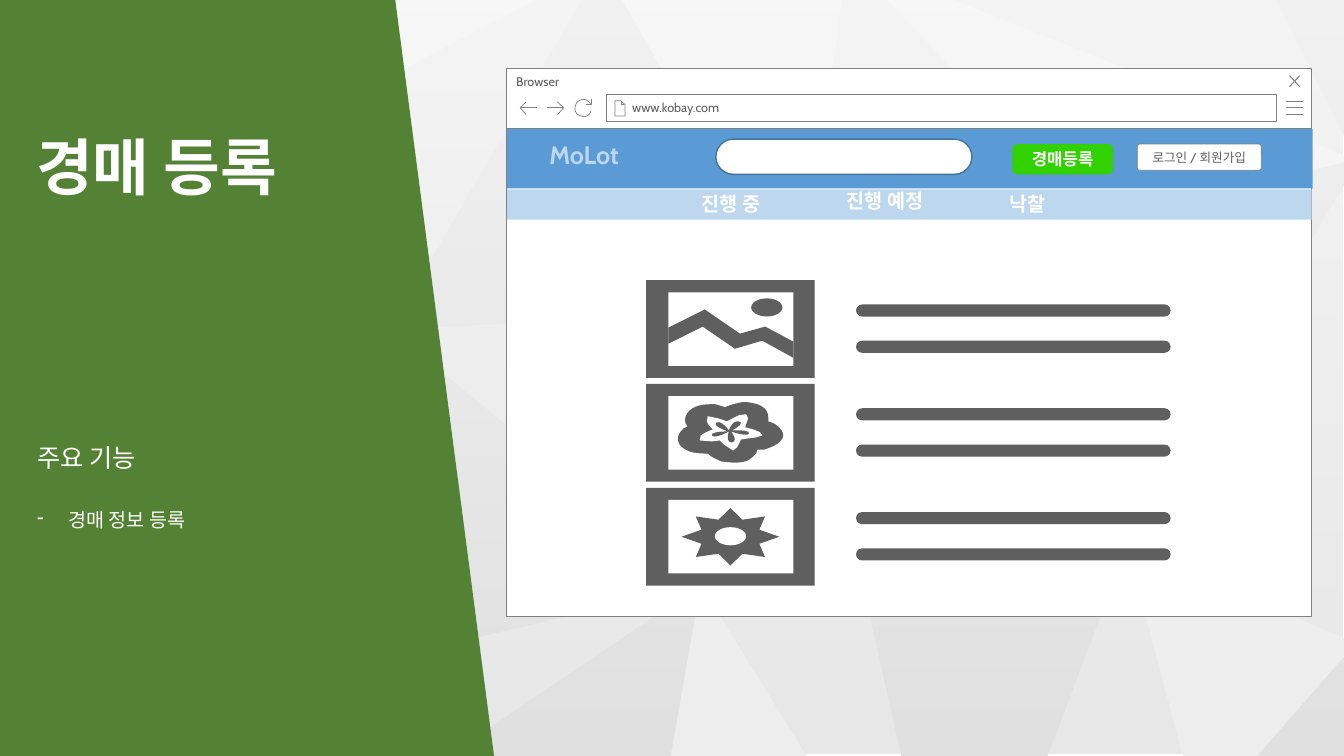
from lxml import etree
from pptx import Presentation
from pptx.dml.color import RGBColor
from pptx.enum.shapes import MSO_SHAPE
from pptx.enum.text import MSO_ANCHOR, PP_ALIGN
from pptx.oxml.ns import qn
from pptx.util import Inches, Pt

WHITE = RGBColor(0xFF, 0xFF, 0xFF)
BASE = RGBColor(0xE7, 0xE7, 0xE7)
PALE = RGBColor(0xED, 0xED, 0xED)
MIST = RGBColor(0xE0, 0xE0, 0xE0)
GREEN = RGBColor(0x54, 0x82, 0x35)
LIME = RGBColor(0x32, 0xD2, 0x00)
BLUE = RGBColor(0x5B, 0x9B, 0xD5)
SKY = RGBColor(0xBD, 0xD7, 0xEE)
NAVY = RGBColor(0x43, 0x73, 0x9E)
GREY = RGBColor(0x80, 0x80, 0x80)
DARK = RGBColor(0x5F, 0x5F, 0x5F)
FONT = "Cabin"
RECT, ROUND = MSO_SHAPE.RECTANGLE, MSO_SHAPE.ROUNDED_RECTANGLE

prs = Presentation()
prs.slide_width, prs.slide_height = Inches(13.33), Inches(7.5)
slide = prs.slides.add_slide(prs.slide_layouts[6])
shapes = slide.shapes


def block(kind, x, y, w, h, fill=None, line=None, pt=0.5, text="",
          size=9, color=WHITE, bold=False, align=PP_ALIGN.LEFT,
          anchor=MSO_ANCHOR.MIDDLE):
    """Add a preset shape, or a text box when kind is None, with its text."""
    box = [Inches(v) for v in (x, y, w, h)]
    if kind is None:
        shape = shapes.add_textbox(*box)
    else:
        shape = shapes.add_shape(kind, *box)
        shape.shadow.inherit = False
        if fill is not None:
            shape.fill.solid()
            shape.fill.fore_color.rgb = fill
        if line is None:
            shape.line.fill.background()
        else:
            shape.line.color.rgb = line
            shape.line.width = Pt(pt)
    if text:
        frame = shape.text_frame
        frame.word_wrap = True
        frame.vertical_anchor = anchor
        para = frame.paragraphs[0]
        para.alignment = align
        run = para.add_run()
        run.text = text
        run.font.name, run.font.size = FONT, Pt(size)
        run.font.bold, run.font.color.rgb = bold, color
    return shape


def trace(paths, fill=None, pt=0.5):
    """Draw paths of points; a step of six numbers is a cubic curve.

    Filled paths are closed, others are open grey strokes."""
    pen = None
    for path in paths:
        dots = [path[0]]
        for step in path[1:]:
            if len(step) == 2:
                dots.append(step)
                continue
            ends = [dots[-1], step[:2], step[2:4], step[4:]]
            for t in (n / 6 for n in range(1, 7)):
                mix = ((1 - t) ** 3, 3 * t * (1 - t) ** 2, 3 * t * t * (1 - t), t ** 3)
                dots.append(tuple(sum(m * e[k] for m, e in zip(mix, ends)) for k in (0, 1)))
        dots = [(Inches(a), Inches(b)) for a, b in dots]
        if pen is None:
            pen = shapes.build_freeform(*dots[0], scale=1.0)
        else:
            pen.move_to(*dots[0])
        pen.add_line_segments(dots[1:], close=fill is not None)
    shape = pen.convert_to_shape()
    shape.shadow.inherit = False
    if fill is None:
        shape.fill.background()
        shape.line.color.rgb = GREY
        shape.line.width = Pt(pt)
    else:
        shape.fill.solid()
        shape.fill.fore_color.rgb = fill
        shape.line.fill.background()


# Faceted background
block(RECT, 0.01, 0, 13.31, 7.48, BASE)
facets = {
    PALE: [
        [(6.95, 5.8), (6.65, 7.5), (8, 7.5)],
        [(11.18, 5.42), (11.73, 7.5), (12.47, 7.5), (13.33, 6.51), (13.33, 6.33)],
        [(0, 2.16), (0, 5.73), (0.93, 5.22)],
        [(8.8, 0), (10.94, 2.26), (13.33, 1.61), (13.33, 1.54), (9.46, 0)],
        [(0.93, 5.22), (3.87, 3.27), (1.76, 1.86)],
        [(1.22, 0), (1.76, 1.86), (5.31, 0)],
        [(6.17, 0), (7.91, 3.07), (8.35, 0)],
    ],
    MIST: [
        [(0.93, 5.22), (0, 5.73), (0, 6.75), (2.63, 6.82)],
        [(2.63, 6.82), (2.41, 7.5), (4.1, 7.5)],
        [(13.33, 6.52), (12.47, 7.5), (13.33, 7.5)],
        [(0, 7.1), (0, 7.5), (1.8, 7.5)],
        [(11.18, 5.42), (8.55, 5.77), (8.94, 7.5), (10.39, 7.5)],
        [(6.95, 5.8), (4.45, 7.5), (6.65, 7.5)],
        [(13.33, 1.61), (7.91, 3.07), (11.18, 5.42), (13.33, 1.84)],
        [(6.95, 5.8), (3.87, 3.27), (2.63, 6.82)],
        [(12.65, 0), (13.33, 1.35), (13.33, 0)],
        [(0, 0.69), (0, 2.16), (0.93, 5.22), (1.76, 1.86)],
        [(5.77, 0), (3.87, 3.27), (7.91, 3.07), (6.17, 0)],
    ],
}
for tone, group in facets.items():
    for facet in group:
        trace([facet], tone)

veil = block(RECT, 0, 0, 13.33, 7.5)
veil.fill.gradient()
veil.fill.gradient_angle = 270
for stop, alpha in zip(veil.fill.gradient_stops, (60000, 0)):
    stop.color.rgb = WHITE
for tint, alpha in zip(veil.element.xpath(".//a:gs/a:srgbClr"), (60000, 0)):
    etree.SubElement(tint, qn("a:alpha")).set("val", str(alpha))

# Green panel
panel = block(MSO_SHAPE.FLOWCHART_MANUAL_INPUT, -1.3, 1.3, 7.5, 4.9, GREEN)
panel.rotation = 90
title = block(None, 0.26, 0.38, 4.02, 2.63, text="경매 등록", size=44, bold=True)
title.text_frame.paragraphs[0].line_spacing = 0.9

# Browser window
block(RECT, 5.02, 1.26, 7.99, 4.86, WHITE, GREY)
block(RECT, 5.02, 0.68, 7.99, 0.59, WHITE, GREY, text="Browser", color=DARK,
      anchor=MSO_ANCHOR.TOP)
trace([[(12.76, y), (12.92, y)] for y in (1.01, 1.07, 1.14)])
trace([[(12.89, 0.75), (12.79, 0.86)], [(12.79, 0.75), (12.89, 0.86)]], pt=0.75)
address = block(RECT, 6.01, 0.94, 6.65, 0.26, WHITE, GREY, text="www.kobay.com", color=DARK)
address.text_frame.margin_left = Inches(0.26)
trace([[(6.16, 1), (6.16, 1.04), (6.19, 1.04)],
       [(6.1, 1), (6.1, 1.15), (6.2, 1.15), (6.2, 1.04), (6.16, 1), (6.1, 1)]])
trace([[(5.22, 1.14), (5.16, 1.07), (5.22, 1.01)], [(5.17, 1.07), (5.33, 1.07)]])
trace([[(5.53, 1.01), (5.59, 1.07), (5.53, 1.14)], [(5.59, 1.07), (5.43, 1.07)]])
trace([[(5.86, 0.98), (5.86, 1.04), (5.81, 1.04)],
       [(5.86, 1.1), (5.85, 1.15, 5.8, 1.17, 5.76, 1.15), (5.71, 1.14, 5.69, 1.09, 5.71, 1.04),
        (5.72, 1, 5.77, 0.98, 5.81, 0.99), (5.83, 1, 5.85, 1.02, 5.86, 1.04)]])

# Site header
block(RECT, 5.03, 1.28, 7.99, 0.59, BLUE)
login = block(ROUND, 11.28, 1.43, 1.23, 0.26, WHITE, GREY, text="로그인 / 회원가입",
              color=DARK, align=PP_ALIGN.CENTER)
login.adjustments[0] = 0.09
block(None, 5.35, 1.33, 1.02, 0.4, text="MoLot", size=18, color=SKY, bold=True,
      anchor=MSO_ANCHOR.TOP)
search = block(ROUND, 7.1, 1.38, 2.54, 0.35, WHITE, NAVY, 1)
search.adjustments[0] = 0.5
block(RECT, 5.03, 1.88, 7.98, 0.3, SKY)
for tab, x, y, w in (("진행 중", 6.86, 1.85, 0.84), ("진행 예정", 8.3, 1.83, 1.17),
                     ("낙찰", 9.91, 1.85, 0.88)):
    block(None, x, y, w, 0.34, text=tab, size=14, bold=True, anchor=MSO_ANCHOR.TOP)
block(ROUND, 10.04, 1.43, 1, 0.3, LIME, text="경매등록", size=12, bold=True,
      align=PP_ALIGN.CENTER)

# Auction list: framed thumbnails with two text bars each
for row in range(3):
    top = 2.78 + 1.03 * row
    block(RECT, 6.41, top, 1.67, 0.97, DARK)
    block(RECT, 6.63, top + 0.12, 1.24, 0.73, WHITE)
    for drop in (0.24, 0.6):
        bar = block(ROUND, 8.49, top + drop, 3.12, 0.12, DARK)
        bar.adjustments[0] = 0.5

# Mountain, flower and sun
trace([[(6.63, 3.25), (6.99, 3.07), (7.34, 3.31), (7.59, 3.24), (7.87, 3.39),
        (7.87, 3.55), (7.56, 3.38), (7.29, 3.46), (6.97, 3.24), (6.63, 3.41)]], DARK)
block(MSO_SHAPE.OVAL, 7.45, 2.96, 0.31, 0.18, DARK)
petals = [(7.36, 3.99), (7.31, 4, 7.27, 4.01, 7.24, 4.02), (7.19, 4.04),
          (7.16, 4.03, 7.13, 4.02, 7.09, 4.01), (7.02, 4.01, 6.94, 4.01, 6.87, 4.05),
          (6.79, 4.1, 6.79, 4.16, 6.8, 4.2), (6.82, 4.23), (6.78, 4.25),
          (6.74, 4.29, 6.7, 4.34, 6.74, 4.41), (6.76, 4.44, 6.8, 4.46, 6.84, 4.48),
          (6.91, 4.5, 6.98, 4.5, 7.02, 4.5), (7.05, 4.53, 7.09, 4.55, 7.16, 4.58),
          (7.19, 4.58, 7.24, 4.59, 7.29, 4.59), (7.34, 4.59, 7.4, 4.58, 7.43, 4.56),
          (7.46, 4.54, 7.48, 4.52, 7.5, 4.5), (7.51, 4.46), (7.58, 4.46),
          (7.64, 4.44, 7.73, 4.41, 7.76, 4.35), (7.79, 4.29, 7.73, 4.24, 7.69, 4.21),
          (7.66, 4.19, 7.64, 4.19, 7.62, 4.18), (7.62, 4.14),
          (7.62, 4.1, 7.6, 4.04, 7.51, 4.01), (7.47, 4, 7.43, 3.99, 7.39, 3.99)]
heart = [(7.4, 4.11), (7.42, 4.15), (7.39, 4.24), (7.47, 4.26), (7.54, 4.29), (7.56, 4.32),
         (7.5, 4.34), (7.35, 4.36), (7.31, 4.44), (7.27, 4.47), (7.18, 4.41), (7.14, 4.37),
         (7.06, 4.38), (6.94, 4.37), (6.95, 4.32), (7, 4.29), (7.07, 4.26), (7.03, 4.22),
         (7.01, 4.18), (7.02, 4.13), (7.12, 4.15), (7.21, 4.18), (7.27, 4.15), (7.33, 4.12)]
stamen = [(7.31, 4.18), (7.26, 4.18, 7.23, 4.27, 7.23, 4.27),
          (7.23, 4.27, 7.16, 4.17, 7.11, 4.19), (7.05, 4.22, 7.22, 4.28, 7.22, 4.28),
          (7.22, 4.28, 7.04, 4.28, 7.06, 4.32), (7.09, 4.36, 7.23, 4.28, 7.23, 4.28),
          (7.23, 4.28, 7.19, 4.39, 7.26, 4.39), (7.33, 4.38, 7.25, 4.28, 7.25, 4.28),
          (7.25, 4.28, 7.42, 4.34, 7.43, 4.3), (7.44, 4.26, 7.26, 4.27, 7.26, 4.27),
          (7.26, 4.27, 7.4, 4.2, 7.33, 4.18)]
for layer, tone in ((petals, DARK), (heart, WHITE), (stamen, DARK)):
    trace([layer], tone)
sun = block(MSO_SHAPE.STAR_8_POINT, 6.76, 5.04, 0.97, 0.57, DARK)
sun.adjustments[0] = 0.32
block(MSO_SHAPE.OVAL, 7.09, 5.23, 0.31, 0.18, WHITE)

# Key features
notes = block(None, 0.27, 4.22, 3.94, 2.75, text="주요 기능", size=18, anchor=MSO_ANCHOR.TOP)
head = notes.text_frame.paragraphs[0]
head.line_spacing, head.space_after = 1.4, Pt(12)
item = notes.text_frame.add_paragraph()
item.line_spacing, item.space_before, item.space_after = 1.2, Pt(10), Pt(12)
props = item._p.get_or_add_pPr()
props.set("marL", str(Inches(0.31)))
props.set("indent", str(Inches(-0.31)))
etree.SubElement(props, qn("a:buChar")).set("char", "-")
run = item.add_run()
run.text = "경매 정보 등록"
run.font.name, run.font.size, run.font.color.rgb = FONT, Pt(14), WHITE

prs.save("out.pptx")
